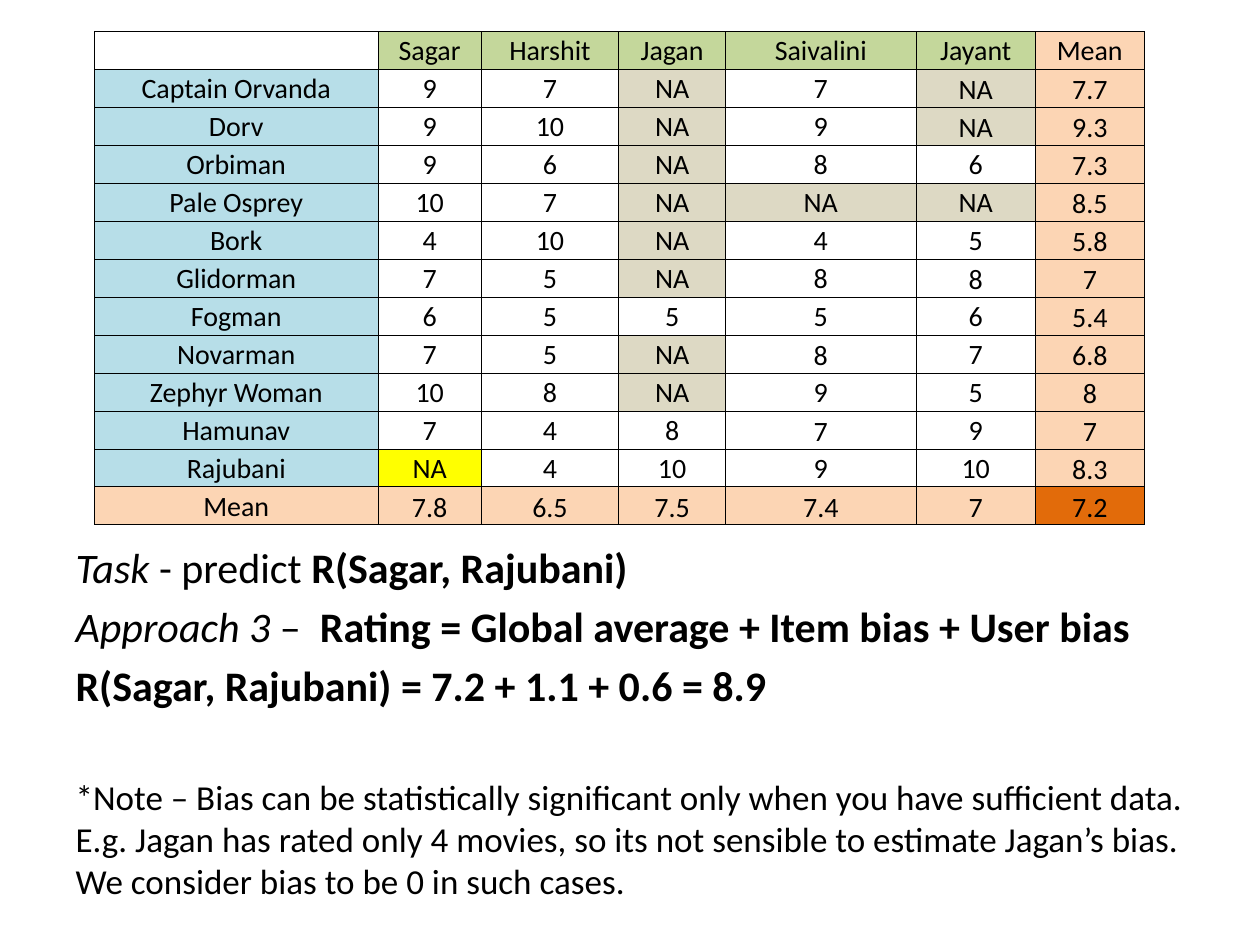
from dataclasses import dataclass

from lxml import etree
from pptx import Presentation
from pptx import util as u
from pptx.dml.color import RGBColor
from pptx.enum import text
from pptx.oxml import ns


@dataclass(frozen=True)
class Theme:
    font: str = "Calibri"
    ink: str = "000000"
    user: str = "C4D79B"
    movie: str = "B7DEE8"
    mean: str = "FCD5B4"
    missing: str = "DDD9C4"
    target: str = "FFFF00"
    global_mean: str = "E26B0A"
    cell_size: int = 16
    body_size: int = 24
    note_size: int = 20
    border: float = 0.5


THEME = Theme()

RATINGS = [
    ["", "Sagar", "Harshit", "Jagan", "Saivalini", "Jayant", "Mean"],
    ["Captain Orvanda", "9", "7", "NA", "7", "NA", "7.7"],
    ["Dorv", "9", "10", "NA", "9", "NA", "9.3"],
    ["Orbiman", "9", "6", "NA", "8", "6", "7.3"],
    ["Pale Osprey", "10", "7", "NA", "NA", "NA", "8.5"],
    ["Bork", "4", "10", "NA", "4", "5", "5.8"],
    ["Glidorman", "7", "5", "NA", "8", "8", "7"],
    ["Fogman", "6", "5", "5", "5", "6", "5.4"],
    ["Novarman", "7", "5", "NA", "8", "7", "6.8"],
    ["Zephyr Woman", "10", "8", "NA", "9", "5", "8"],
    ["Hamunav", "7", "4", "8", "7", "9", "7"],
    ["Rajubani", "NA", "4", "10", "9", "10", "8.3"],
    ["Mean", "7.8", "6.5", "7.5", "7.4", "7", "7.2"],
]
COLUMN_WIDTHS = [2.25, 0.82, 1.09, 0.85, 1.51, 0.95, 0.86]
TABLE_HEIGHT = 3.92
LAST_ROW, LAST_COLUMN = len(RATINGS) - 1, len(COLUMN_WIDTHS) - 1
TARGET_CELL = (LAST_ROW - 1, 1)
LOW_RATINGS = {(1, 5), (2, 5), (6, 5), (8, 4), (10, 4)}  # bottom-anchored

# Each paragraph: size, space before in points, runs of (words, style)
EXPLANATION = [
    (THEME.body_size, 4.8, [("Task", "italic"), (" - predict ", ""),
                            ("R(Sagar, Rajubani)", "bold")]),
    (THEME.body_size, 4.8, [("Approach 3", "italic"), (" –  ", ""),
                            ("Rating = Global average + Item bias + User bias", "bold")]),
    (THEME.body_size, 4.8, [("R(Sagar, Rajubani) = 7.2 + 1.1 + 0.6 = 8.9", "bold")]),
    (THEME.note_size, 37.5, [(
        "*Note – Bias can be statistically significant only when you have sufficient data. "
        "E.g. Jagan has rated only 4 movies, so its not sensible to estimate Jagan’s bias. "
        "We consider bias to be 0 in such cases.", "")]),
]


def add_run(paragraph, words, size, style=""):
    run = paragraph.add_run()
    run.text = words
    run.font.name = THEME.font
    run.font.size = u.Pt(size)
    run.font.color.rgb = RGBColor.from_string(THEME.ink)
    run.font.bold = style == "bold"
    run.font.italic = style == "italic"


def cell_colour(row, column):
    """Return the fill for a cell's role, or None for a plain cell."""
    if (row, column) == (LAST_ROW, LAST_COLUMN):
        return THEME.global_mean
    if row == LAST_ROW or column == LAST_COLUMN:
        return THEME.mean
    if (row, column) == TARGET_CELL:
        return THEME.target
    if RATINGS[row][column] == "NA":
        return THEME.missing
    if row == 0:
        return THEME.user if column else None
    return None if column else THEME.movie


def cell_anchor(row, column):
    is_mean = row > 0 and column > 0 and (row == LAST_ROW or column == LAST_COLUMN)
    if is_mean or (row, column) in LOW_RATINGS:
        return text.MSO_ANCHOR.BOTTOM
    return text.MSO_ANCHOR.MIDDLE


def set_borders(cell):
    properties = cell._tc.get_or_add_tcPr()
    for side in ("a:lnL", "a:lnR", "a:lnT", "a:lnB"):
        line = etree.SubElement(properties, ns.qn(side), w=str(u.Pt(THEME.border)))
        fill = etree.SubElement(line, ns.qn("a:solidFill"))
        etree.SubElement(fill, ns.qn("a:srgbClr"), val=THEME.ink)


def format_cell(cell, words, colour, anchor):
    cell.margin_left = cell.margin_right = cell.margin_top = u.Inches(0.01)
    cell.margin_bottom = 0
    cell.vertical_anchor = anchor
    set_borders(cell)
    if colour:
        cell.fill.solid()
        cell.fill.fore_color.rgb = RGBColor.from_string(colour)
    else:
        cell.fill.background()
    paragraph = cell.text_frame.paragraphs[0]
    paragraph.alignment = text.PP_ALIGN.CENTER
    if words:
        add_run(paragraph, words, THEME.cell_size)
    else:
        paragraph._p.get_or_add_endParaRPr().set("sz", str(THEME.cell_size * 100))


def add_ratings_table(slide):
    frame = slide.shapes.add_table(
        len(RATINGS), len(COLUMN_WIDTHS), u.Inches(0.75), u.Inches(0.25),
        u.Inches(sum(COLUMN_WIDTHS)), u.Inches(TABLE_HEIGHT))
    table = frame.table
    table.first_row = table.horz_banding = False
    for column, width in zip(table.columns, COLUMN_WIDTHS):
        column.width = u.Inches(width)
    for row, values in enumerate(RATINGS):
        table.rows[row].height = u.Inches(TABLE_HEIGHT / len(RATINGS))
        for column, words in enumerate(values):
            format_cell(table.cell(row, column), words,
                        cell_colour(row, column), cell_anchor(row, column))


def remove_bullet(paragraph):
    properties = paragraph._p.get_or_add_pPr()
    properties.set("marL", "0")
    properties.set("indent", "0")
    etree.SubElement(properties, ns.qn("a:buNone"))


def fill_explanation(body):
    body.left, body.top = u.Inches(0.5), u.Inches(4.25)
    body.width, body.height = u.Inches(9), u.Inches(2.92)
    frame = body.text_frame
    frame.word_wrap = True
    frame.auto_size = text.MSO_AUTO_SIZE.NONE
    for index, (size, space, runs) in enumerate(EXPLANATION):
        paragraph = frame.add_paragraph() if index else frame.paragraphs[0]
        paragraph.space_before = u.Pt(space)
        remove_bullet(paragraph)
        for words, style in runs:
            add_run(paragraph, words, size, style)


def main():
    presentation = Presentation()
    presentation.slide_width, presentation.slide_height = u.Inches(10), u.Inches(7.5)
    slide = presentation.slides.add_slide(presentation.slide_layouts[1])
    title = slide.shapes.title.element
    title.getparent().remove(title)
    fill_explanation(slide.placeholders[1])
    add_ratings_table(slide)
    presentation.save("out.pptx")


if __name__ == "__main__":
    main()
